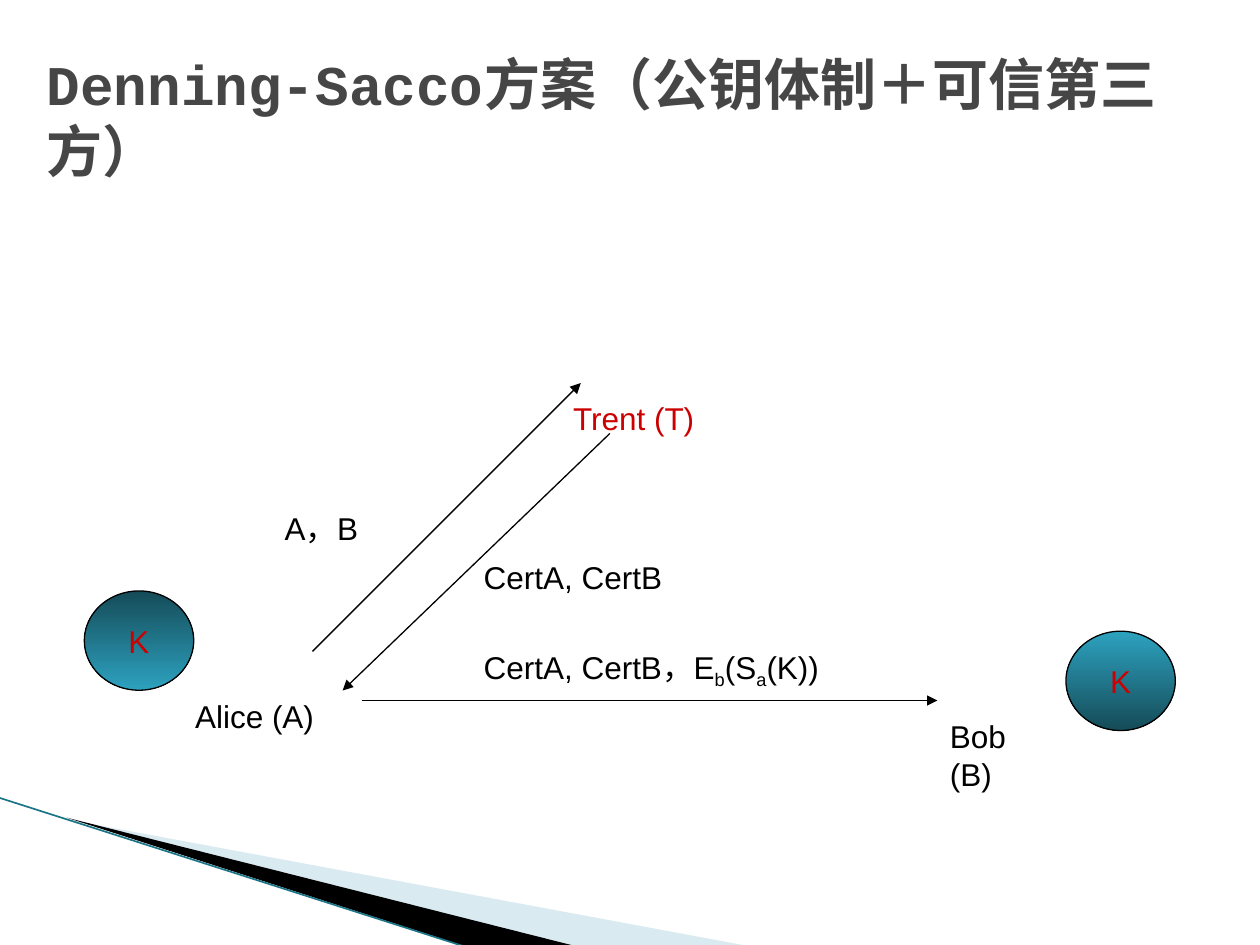
from lxml.etree import SubElement
from pptx import Presentation
from pptx.dml.color import RGBColor
from pptx.enum.shapes import MSO_CONNECTOR, MSO_SHAPE
from pptx.enum.text import MSO_ANCHOR, MSO_AUTO_SIZE, PP_ALIGN
from pptx.oxml.ns import qn
from pptx.util import Pt

BLACK, RED, GREY = "000000", "CC0000", "464646"
TEAL, DARK_TEAL, EDGE, PALE = "2DA2BF", "154B58", "1B7587", "A0CBDC"


def rgb(value):
    """Turn a hex string into a colour."""
    return RGBColor.from_string(value)


def set_font(p, size, color, name="Arial", bold=False):
    """Format the text of a paragraph."""
    p.font.name = name
    p.font.size = Pt(size)
    p.font.bold = bold
    p.font.color.rgb = rgb(color)


def add_title(s, text):
    """Fill and place the title placeholder."""
    sp = s.shapes.title
    sp.left, sp.top, sp.width, sp.height = Pt(19.5), Pt(21.6), Pt(700.5), Pt(90)
    tf = sp.text_frame
    tf.text = text
    tf.word_wrap = True
    tf.auto_size = MSO_AUTO_SIZE.NONE
    tf.vertical_anchor = MSO_ANCHOR.MIDDLE
    p = tf.paragraphs[0]
    p.alignment = PP_ALIGN.LEFT
    set_font(p, 32, GREY, "Courier New", True)


def add_label(s, x, y, w, parts, color=BLACK):
    """Add a text box whose every second part is a subscript."""
    tf = s.shapes.add_textbox(Pt(x), Pt(y), Pt(w), Pt(28.8)).text_frame
    tf.word_wrap = True
    tf.auto_size = MSO_AUTO_SIZE.SHAPE_TO_FIT_TEXT
    p = tf.paragraphs[0]
    set_font(p, 18, color)
    for i, part in enumerate(parts):
        r = p.add_run()
        r.text = part
        if i % 2:
            r._r.get_or_add_rPr().set("baseline", "-25000")


def add_key(s, x, y, top, bottom):
    """Add a shaded ellipse that holds the session key."""
    sp = s.shapes.add_shape(MSO_SHAPE.OVAL, Pt(x), Pt(y), Pt(62.5), Pt(56.75))
    sp.shadow.inherit = False
    sp.fill.gradient()
    sp.fill.gradient_angle = 270
    for stop, color in zip(sp.fill.gradient_stops, (top, bottom)):
        stop.color.rgb = rgb(color)
    sp.line.color.rgb = rgb(BLACK)
    sp.line.width = Pt(0.75)
    tf = sp.text_frame
    tf.text = "K"
    tf.word_wrap = False
    tf.vertical_anchor = MSO_ANCHOR.MIDDLE
    p = tf.paragraphs[0]
    p.alignment = PP_ALIGN.CENTER
    set_font(p, 18, RED)


def add_line(s, start, end, color=BLACK, width=0.75, arrow=True):
    """Add a straight line, with an arrowhead at its end if asked."""
    points = [Pt(v) for v in (*start, *end)]
    c = s.shapes.add_connector(MSO_CONNECTOR.STRAIGHT, *points)
    c.line.color.rgb = rgb(color)
    c.line.width = Pt(width)
    if arrow:
        SubElement(c.line._get_or_add_ln(), qn("a:tailEnd"), type="triangle")
    SubElement(c._element.spPr, qn("a:effectLst"))


def add_wedge(s, points, color, alpha=100):
    """Add a borderless polygon with an opacity in percent."""
    start, *rest = [(Pt(x), Pt(y)) for x, y in points]
    fb = s.shapes.build_freeform(*start)
    fb.add_line_segments(rest, close=True)
    sp = fb.convert_to_shape()
    sp.shadow.inherit = False
    sp.fill.solid()
    sp.fill.fore_color.rgb = rgb(color)
    sp.line.fill.background()
    if alpha < 100:
        clr = sp._element.spPr.find(qn("a:solidFill"))[0]
        SubElement(clr, qn("a:alpha"), val=str(alpha * 1000))


def main():
    """Build the protocol slide."""
    prs = Presentation()
    prs.slide_width, prs.slide_height = Pt(720), Pt(540)
    s = prs.slides.add_slide(prs.slide_layouts[5])

    add_wedge(s, [(39.6, 468.5), (428.4, 540.7), (328.3, 540.7)], PALE, 40)
    add_wedge(s, [(38.2, 467.3), (329, 540.7), (267.8, 541.4)], BLACK)
    add_line(s, (-0.7, 455.8), (267.1, 541.4), EDGE, 0.95, arrow=False)
    add_title(s, "Denning-Sacco方案（公钥体制＋可信第三方）")

    add_label(s, 104.4, 394.6, 90.7, ["Alice (A)"])
    add_label(s, 535.7, 406.1, 73.4, ["Bob (B)"])
    add_label(s, 320.4, 224.6, 90.7, ["Trent (T)"], RED)
    add_key(s, 48.2, 337.7, DARK_TEAL, TEAL)
    add_key(s, 609.1, 360.7, TEAL, DARK_TEAL)

    add_line(s, (178.6, 372.2), (331.9, 218.9))
    add_label(s, 155.5, 287.3, 102.2, ["A，B"])
    add_line(s, (348.5, 247.7), (195.8, 394.6))
    add_label(s, 269.3, 315.4, 130.3, ["CertA, CertB"])
    add_line(s, (206.6, 400.3), (535.7, 400.3))
    add_label(s, 269.3, 366.5, 244, ["CertA, CertB，E", "b", "(S", "a", "(K))"])
    prs.save("out.pptx")


if __name__ == "__main__":
    main()
